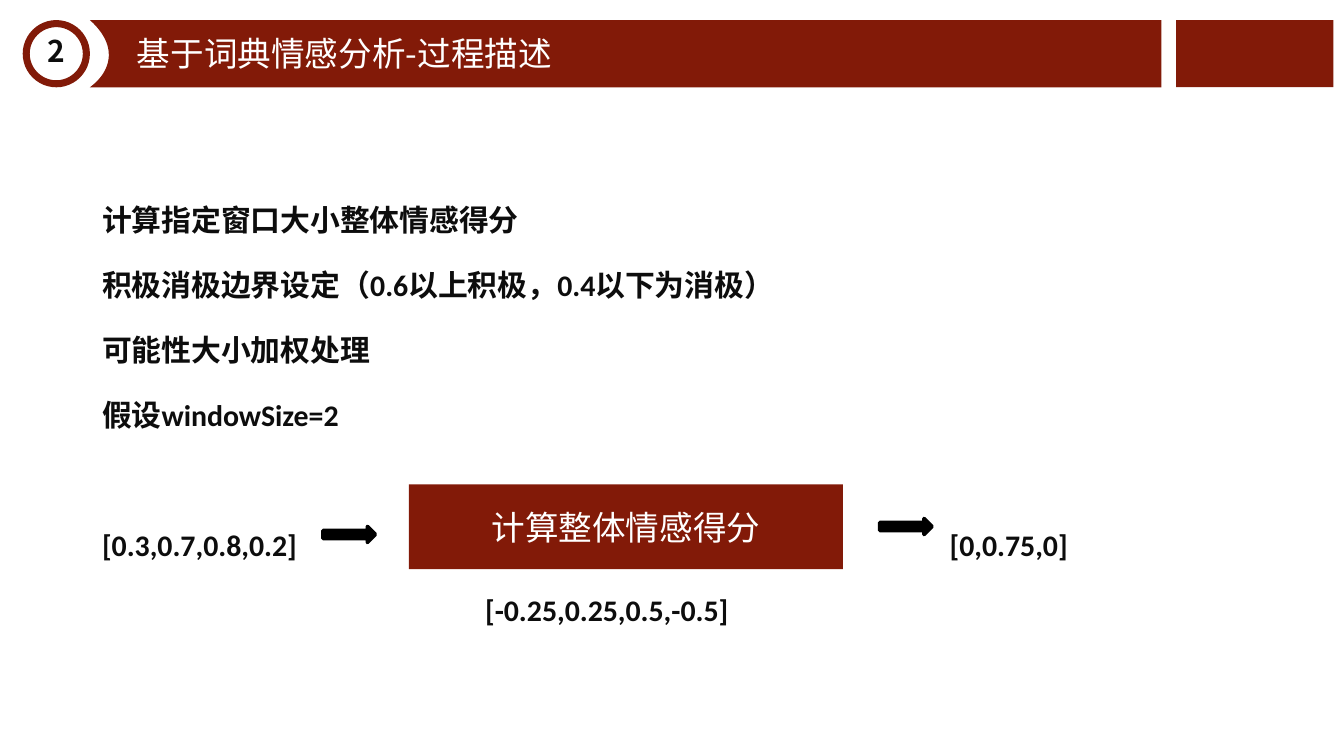
from lxml.etree import SubElement
from pptx import Presentation
from pptx.dml.color import RGBColor
from pptx.enum.shapes import MSO_SHAPE as Shape
from pptx.enum.text import MSO_ANCHOR as Anchor, PP_ALIGN as Align
from pptx.oxml.ns import qn
from pptx.util import Cm, Pt

COLORS = {"brand": "821A08", "ink": "0D0D0D", "white": "FFFFFF", "black": "000000"}
CJK = "Noto Sans CJK SC"
NUMBER = {"size": Pt(16), "bold": True, "name": CJK}
HEADING = {"size": Pt(18), "bold": False, "name": CJK}
BODY = {"size": Pt(16), "bold": True, "name": "Calibri"}


def paint(shape, color):
    shape.shadow.inherit = False
    shape.fill.solid()
    shape.fill.fore_color.rgb = RGBColor.from_string(COLORS[color])
    shape.line.fill.background()


def write(shape, lines, font, color, anchor=Anchor.MIDDLE, **layout):
    frame = shape.text_frame
    frame.word_wrap = True
    frame.vertical_anchor = anchor
    for index, line in enumerate(lines):
        para = frame.paragraphs[0] if index == 0 else frame.add_paragraph()
        for key, value in layout.items():
            setattr(para, key, value)
        span = para.add_run()
        span.text = line
        for key, value in font.items():
            setattr(span.font, key, value)
        span.font.color.rgb = RGBColor.from_string(COLORS[color])
        SubElement(span.font._element, qn("a:ea"), typeface=CJK)


deck = Presentation()
deck.slide_width, deck.slide_height = Cm(25.4), Cm(14.28)
page = deck.slides.add_slide(deck.slide_layouts[6])
shapes = page.shapes

# Section number in a ring
top, height = 0.38, 1.27
ring = shapes.add_shape(Shape.DONUT, Cm(0.43), Cm(top), Cm(1.27), Cm(height))
ring.adjustments[0] = 0.105
paint(ring, "brand")
write(ring, ["2"], NUMBER, "ink", alignment=Align.CENTER, line_spacing=0.8)

# Title banner, its left edge curved around the ring
left, right, bottom = 1.7, 21.95, top + height
curve = [(left, bottom), (2.11, 1.35), (2.24, 0.86), (left, top)]
steps = 24
edge = []
for step in range(1, steps + 1):
    t = step / steps
    weights = ((1 - t) ** 3, 3 * t * (1 - t) ** 2, 3 * t * t * (1 - t), t ** 3)
    edge.append(tuple(Cm(sum(w * point[axis] for w, point in zip(weights, curve)))
                      for axis in (0, 1)))
outline = shapes.build_freeform(Cm(left), Cm(top))
corners = [(Cm(x), Cm(y)) for x, y in ((right, top), (right, bottom), (left, bottom))]
outline.add_line_segments(corners + edge, close=True)
paint(outline.convert_to_shape(), "brand")

end_block = shapes.add_shape(Shape.RECTANGLE, Cm(22.23), Cm(top), Cm(2.97), Cm(height))
paint(end_block, "brand")
title = shapes.add_textbox(Cm(2.34), Cm(0.49), Cm(19.05), Cm(1.03))
write(title, ["基于词典情感分析-过程描述"], HEADING, "white")

# Steps of the method
steps_box = shapes.add_textbox(Cm(1.68), Cm(3.35), Cm(23.5), Cm(5.1))
write(steps_box, [
    "计算指定窗口大小整体情感得分",
    "积极消极边界设定（0.6以上积极，0.4以下为消极）",
    "可能性大小加权处理",
    "假设windowSize=2",
], BODY, "ink", Anchor.TOP, line_spacing=1.5, space_before=Pt(6))

# Example: input, intermediate and output scores
for text, x, y, width in [
    ("[0.3,0.7,0.8,0.2]", 1.68, 9.79, 4.6),
    ("[0,0.75,0]", 17.7, 9.79, 3.5),
    ("[-0.25,0.25,0.5,-0.5]", 8.92, 11.01, 5.8),
]:
    score = shapes.add_textbox(Cm(x), Cm(y), Cm(width), Cm(1))
    write(score, [text], BODY, "ink")

process = shapes.add_shape(Shape.RECTANGLE, Cm(7.73), Cm(9.15), Cm(8.2), Cm(1.6))
paint(process, "brand")
write(process, ["计算整体情感得分"], HEADING, "white", alignment=Align.CENTER)

# Arrows into and out of the process
for x, y in [(6.45, 9.6), (16.97, 9.45)]:
    arrow = shapes.add_shape(Shape.DOWN_ARROW, Cm(x), Cm(y), Cm(0.3), Cm(0.99))
    arrow.rotation = 270
    paint(arrow, "black")
    arrow.line.color.rgb = RGBColor.from_string(COLORS["black"])
    arrow.line.width = Pt(2)

deck.save("out.pptx")
